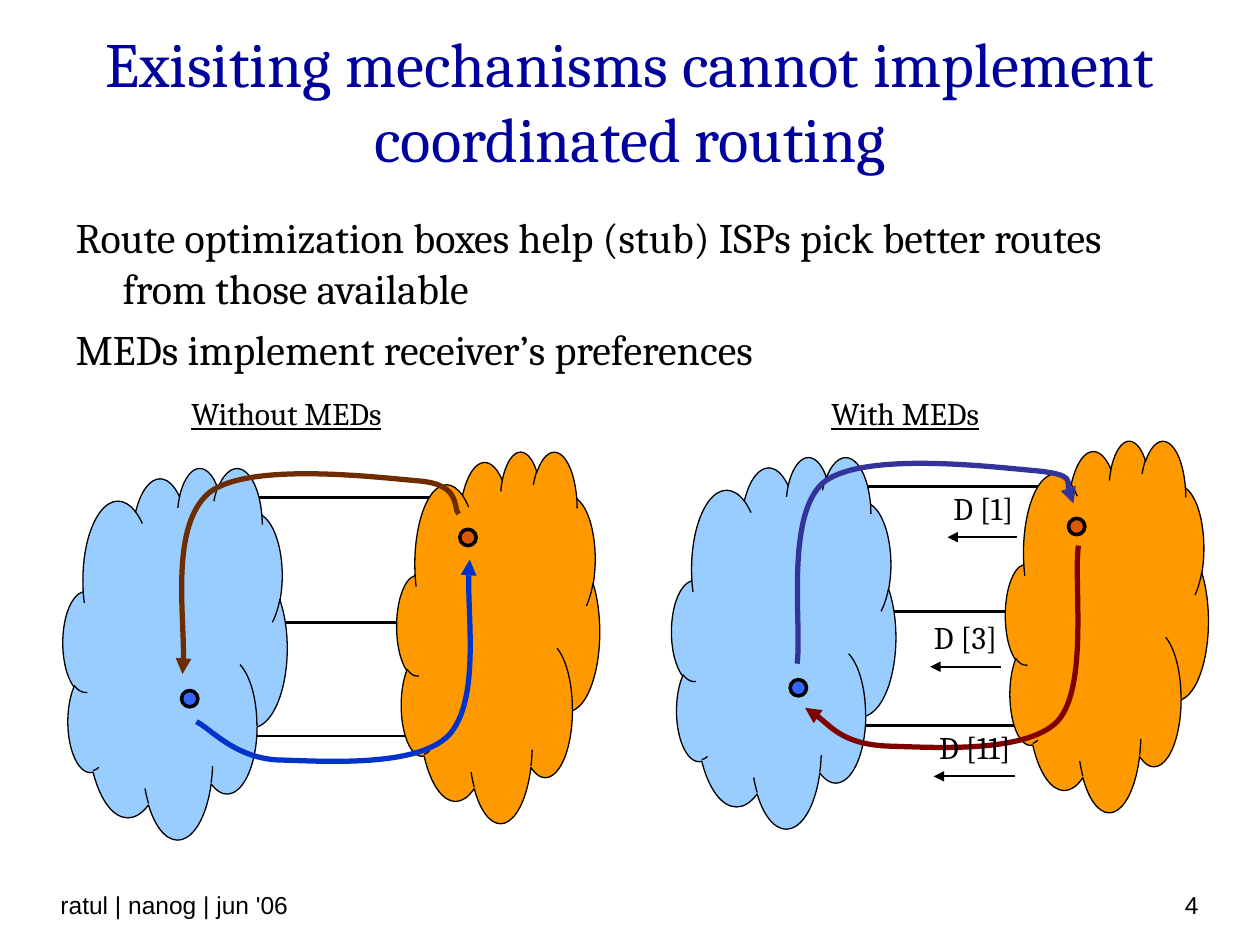
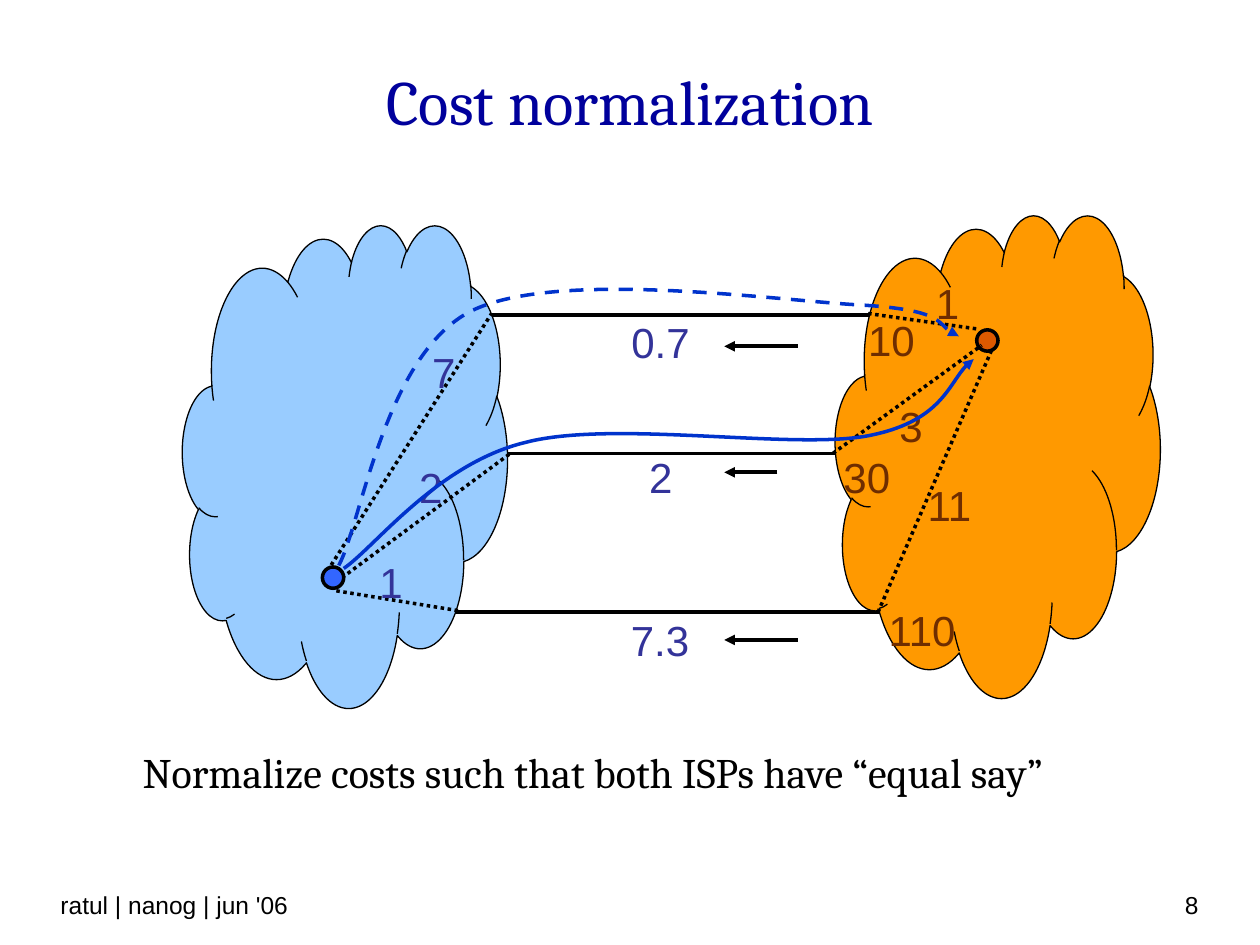
import lxml.etree
import pptx
import pptx.dml.color
import pptx.enum.dml
import pptx.enum.shapes
import pptx.enum.text
import pptx.oxml.ns
import pptx.util

Cm = pptx.util.Cm
Pt = pptx.util.Pt
RGBColor = pptx.dml.color.RGBColor
PP_ALIGN = pptx.enum.text.PP_ALIGN
MSO_ANCHOR = pptx.enum.text.MSO_ANCHOR
MSO_SHAPE = pptx.enum.shapes.MSO_SHAPE
MSO_LINE = pptx.enum.dml.MSO_LINE
qn = pptx.oxml.ns.qn

BLACK = RGBColor(0x00, 0x00, 0x00)
TITLE_BLUE = RGBColor(0x00, 0x00, 0x9C)
CLOUD_BLUE = RGBColor(0x99, 0xCC, 0xFF)
CLOUD_ORANGE = RGBColor(0xFF, 0x99, 0x00)
NODE_BLUE = RGBColor(0x33, 0x66, 0xFF)
NODE_ORANGE = RGBColor(0xDC, 0x59, 0x00)
ROUTE_BLUE = RGBColor(0x00, 0x33, 0xCC)
INDIGO = RGBColor(0x33, 0x33, 0x99)
BROWN = RGBColor(0x6E, 0x2D, 0x00)
DARK_RED = RGBColor(0x80, 0x00, 0x00)

SERIF = "Cambria"
SANS = "Arial"
FOOTER = "ratul | nanog | jun '06"

# Routes as cubic curves: a start point, then three points per segment (cm)
UPPER_ROUTE = [(9.25, 10.36), (9.12, 10.26), (9.32, 9.78), (8.48, 9.7),
               (7.65, 9.63), (5.03, 9.3), (4.22, 9.93),
               (3.43, 10.59), (3.78, 12.83), (3.68, 13.59)]
LOWER_ROUTE = [(3.96, 14.55), (4.24, 14.68), (4.72, 15.27), (5.59, 15.32),
               (6.43, 15.34), (8.38, 15.49), (9.04, 14.83),
               (9.68, 14.15), (9.37, 12.01), (9.47, 11.28)]
MIDDLE_LINK_ROUTE = [(6.93, 11.46), (7.54, 11.05), (8.81, 9.35), (10.59, 8.92),
                     (12.34, 8.46), (15.95, 9.07), (17.48, 8.79),
                     (18.97, 8.51), (19.18, 7.54), (19.63, 7.24)]
TOP_LINK_ROUTE = [(6.83, 11.4), (7.29, 10.54), (7.75, 7.16), (9.5, 6.27),
                  (11.25, 5.41), (15.72, 6.07), (17.37, 6.15),
                  (19, 6.25), (18.92, 6.63), (19.33, 6.78)]


# Text
def format_paragraph(paragraph, font_name, size, color, alignment, space_before=0):
    paragraph.alignment = alignment
    paragraph.space_before = Pt(space_before)
    paragraph.font.name = font_name
    paragraph.font.size = Pt(size)
    paragraph.font.color.rgb = color


def add_text(slide, text, left, top, width, height, font_name, size, color=BLACK,
             alignment=PP_ALIGN.CENTER, anchor=MSO_ANCHOR.TOP, space_before=0):
    box = slide.shapes.add_textbox(Cm(left), Cm(top), Cm(width), Cm(height))
    frame = box.text_frame
    frame.word_wrap = True
    frame.vertical_anchor = anchor
    frame.text = text
    paragraph = frame.paragraphs[0]
    format_paragraph(paragraph, font_name, size, color, alignment, space_before)
    return paragraph


def add_caption(slide, text, left, width):
    paragraph = add_text(slide, text, left, 7.82, width, 1.47, SERIF, 18,
                         alignment=PP_ALIGN.LEFT, space_before=4.5)
    paragraph.font.underline = True


def place(shape, left, top, width, height):
    shape.left, shape.top = Cm(left), Cm(top)
    shape.width, shape.height = Cm(width), Cm(height)
    shape.text_frame.auto_size = pptx.enum.text.MSO_AUTO_SIZE.NONE


def fill_body(slide, lines, left, top, width, height, line_spacing=1.0):
    body = slide.placeholders[1]
    place(body, left, top, width, height)
    body.text_frame.text = "\n".join(lines)
    for paragraph in body.text_frame.paragraphs:
        format_paragraph(paragraph, SERIF, 24, BLACK, PP_ALIGN.LEFT, 6)
        paragraph.line_spacing = line_spacing
        properties = paragraph._p.get_or_add_pPr()
        properties.set("marL", str(Cm(0.95)))
        properties.set("indent", str(Cm(-0.95)))
        bullet = lxml.etree.Element(qn("a:buNone"))
        properties.find(qn("a:spcBef")).addnext(bullet)


def add_slide(presentation, title, number):
    slide = presentation.slides.add_slide(presentation.slide_layouts[1])
    place(slide.shapes.title, 1.27, 0.81, 22.86, 2.41)
    frame = slide.shapes.title.text_frame
    frame.text = title
    frame.vertical_anchor = MSO_ANCHOR.MIDDLE
    format_paragraph(frame.paragraphs[0], SERIF, 36, TITLE_BLUE, PP_ALIGN.CENTER)
    add_text(slide, number, 18.49, 17.35, 5.92, 1.32, SANS, 14,
             alignment=PP_ALIGN.RIGHT, anchor=MSO_ANCHOR.BOTTOM)
    add_text(slide, FOOTER, 0.97, 17.35, 10.24, 1.32, SANS, 14,
             alignment=PP_ALIGN.LEFT, anchor=MSO_ANCHOR.BOTTOM)
    return slide


# Lines and routes
def add_arrowhead(shape, end):
    line = shape.line._get_or_add_ln()
    lxml.etree.SubElement(line, qn(f"a:{end}"), type="triangle")


def add_line(slide, x1, y1, x2, y2, width, arrow=False, dash=None):
    connector = slide.shapes.add_connector(
        pptx.enum.shapes.MSO_CONNECTOR.STRAIGHT, Cm(x1), Cm(y1), Cm(x2), Cm(y2))
    connector.line.color.rgb = BLACK
    connector.line.width = Pt(width)
    if dash:
        connector.line.dash_style = dash
    if arrow:
        add_arrowhead(connector, "tailEnd")
    lxml.etree.SubElement(connector._element.spPr, qn("a:effectLst"))


def add_route(slide, points, color, width, end="tailEnd", shift=(0, 0), dash=None):
    points = [(Cm(x + shift[0]), Cm(y + shift[1])) for x, y in points]
    builder = slide.shapes.build_freeform(*points[0])
    builder.add_line_segments(points[1:], close=False)
    route = builder.convert_to_shape()
    # Turn every three straight segments into one cubic curve
    segments = list(route._element.iter(qn("a:lnTo")))
    for first in range(0, len(segments), 3):
        curve = lxml.etree.Element(qn("a:cubicBezTo"))
        segments[first].addprevious(curve)
        for segment in segments[first:first + 3]:
            curve.append(segment[0])
            segment.getparent().remove(segment)
    route.fill.background()
    route.shadow.inherit = False
    route.line.color.rgb = color
    route.line.width = Pt(width)
    if dash:
        route.line.dash_style = dash
    add_arrowhead(route, end)


# Networks
def add_filled(shapes, kind, left, top, width, height, color, line_width=None):
    shape = shapes.add_shape(kind, Cm(left), Cm(top), Cm(width), Cm(height))
    shape.shadow.inherit = False
    shape.fill.solid()
    shape.fill.fore_color.rgb = color
    if line_width:
        shape.line.color.rgb = BLACK
        shape.line.width = Pt(line_width)
    else:
        shape.line.fill.background()
    return shape


def add_cloud(slide, left, top, width, height, color):
    shapes = slide.shapes.add_group_shape().shapes
    cloud = add_filled(shapes, MSO_SHAPE.CLOUD_CALLOUT, left, top, width, height,
                       color, 0.75)
    cloud.adjustments[0] = 0.045
    cloud.adjustments[1] = -0.036
    # Plain ellipse that hides the callout's bubbles
    cover = add_filled(shapes, MSO_SHAPE.OVAL, left + 0.36 * width,
                       top + 0.157 * height, 0.59 * width, 0.35 * height, color)
    cover.rotation = 148.7


def add_node(slide, left, top, size, color):
    add_filled(slide.shapes, MSO_SHAPE.OVAL, left, top, size, size, color, 2)


def add_isp_pair(slide, dx, dy):
    for x1, x2, y in [(5.11, 8.33, 12.55), (4.09, 8.79, 14.84), (5.16, 9.04, 10.03)]:
        add_line(slide, x1 + dx, y + dy, x2 + dx, y + dy, 1.5)
    add_cloud(slide, 1.27 + dx, 9.42 + dy, 4.52, 7.49, CLOUD_BLUE)
    add_cloud(slide, 8 + dx, 9.09 + dy, 4.09, 7.49, CLOUD_ORANGE)
    add_node(slide, 3.66 + dx, 13.92 + dy, 0.33, NODE_BLUE)
    add_node(slide, 9.27 + dx, 10.67 + dy, 0.33, NODE_ORANGE)


def build_mechanisms(presentation):
    slide = add_slide(
        presentation, "Exisiting mechanisms cannot implement coordinated routing", "4")
    fill_body(slide, ["Route optimization boxes help (stub) ISPs pick better routes "
                      "from those available",
                      "MEDs implement receiver’s preferences"],
              1.27, 4.14, 22.86, 3.68)

    # Without MEDs
    add_caption(slide, "Without MEDs", 3.61, 6.35)
    add_isp_pair(slide, 0, 0)
    add_route(slide, LOWER_ROUTE, ROUTE_BLUE, 3)
    add_route(slide, UPPER_ROUTE, BROWN, 3)

    # With MEDs: same routes, opposite directions
    add_caption(slide, "With MEDs", 16.51, 5.28)
    add_isp_pair(slide, 12.27, -0.22)
    add_route(slide, LOWER_ROUTE, DARK_RED, 3, "headEnd", (12.27, -0.28))
    add_route(slide, UPPER_ROUTE, INDIGO, 3, "headEnd", (12.39, -0.21))
    for text, left, top, width, start, end in [
            ("D [1]", 18.72, 9.73, 2.21, 20.5, 19.1),
            ("D [11]", 18.36, 14.55, 2.59, 20.47, 18.82),
            ("D [3]", 18.36, 12.34, 2.21, 20.17, 18.75)]:
        add_text(slide, text, left, top, width, 1.02, SERIF, 18, space_before=11.2)
        add_line(slide, start, top + 1.1, end, top + 1.1, 1, arrow=True)


def build_normalization(presentation):
    slide = add_slide(presentation, "Cost normalization", "8")

    # Links between the two ISPs
    for x1, x2, y in [(10.19, 16.89, 9.14), (8.99, 18.01, 12.34), (9.7, 17.91, 6.35)]:
        add_line(slide, x1, y, x2, y, 2)
    add_cloud(slide, 3.68, 4.52, 6.55, 9.73, CLOUD_BLUE)
    add_cloud(slide, 16.84, 4.32, 6.55, 9.73, CLOUD_ORANGE)
    add_node(slide, 19.69, 6.65, 0.43, NODE_ORANGE)

    # Paths inside each ISP
    for ends in [(6.78, 11.73, 10.29, 9.14), (6.6, 11.51, 9.91, 6.32),
                 (16.79, 9.14, 19.79, 6.96), (17.7, 12.34, 19.99, 7.06),
                 (17.5, 6.32, 19.69, 6.63), (6.78, 11.91, 9.3, 12.32)]:
        add_line(slide, *ends, 2, dash=MSO_LINE.ROUND_DOT)

    # Costs: text, left, top, width
    costs = {
        INDIGO: [("7", 8.31, 6.86, 1.27), ("2", 8.2, 9.17, 0.97),
                 ("1", 7.39, 11.1, 0.99), ("7.3", 12.01, 12.27, 2.59),
                 ("2", 12.67, 8.97, 1.3), ("0.7", 12.07, 6.25, 2.49)],
        BROWN: [("1", 18.59, 5.46, 1.02), ("3", 17.78, 7.95, 1.17),
                ("11", 18.39, 9.55, 1.5), ("10", 17.22, 6.22, 1.5),
                ("30", 16.61, 8.97, 1.73), ("110", 17.5, 12.07, 2.18)],
    }
    for color, labels in costs.items():
        for text, left, top, width in labels:
            add_text(slide, text, left, top, width, 1.27, SANS, 24, color,
                     space_before=15)

    # Routes and cost directions
    add_route(slide, MIDDLE_LINK_ROUTE, ROUTE_BLUE, 2)
    add_route(slide, TOP_LINK_ROUTE, ROUTE_BLUE, 2, dash=MSO_LINE.DASH)
    add_node(slide, 6.5, 11.43, 0.43, NODE_BLUE)
    for start, y in [(16.08, 6.98), (15.67, 9.52), (16.08, 12.9)]:
        add_line(slide, start, y, 14.6, y, 2, arrow=True)

    fill_body(slide, ["Normalize costs such that both ISPs have “equal say”"],
              2.62, 15.11, 21.67, 2.11, line_spacing=0.8)


def main():
    presentation = pptx.Presentation()
    presentation.slide_width = Cm(25.4)
    presentation.slide_height = Cm(19.05)
    build_mechanisms(presentation)
    build_normalization(presentation)
    presentation.save("out.pptx")


if __name__ == "__main__":
    main()
